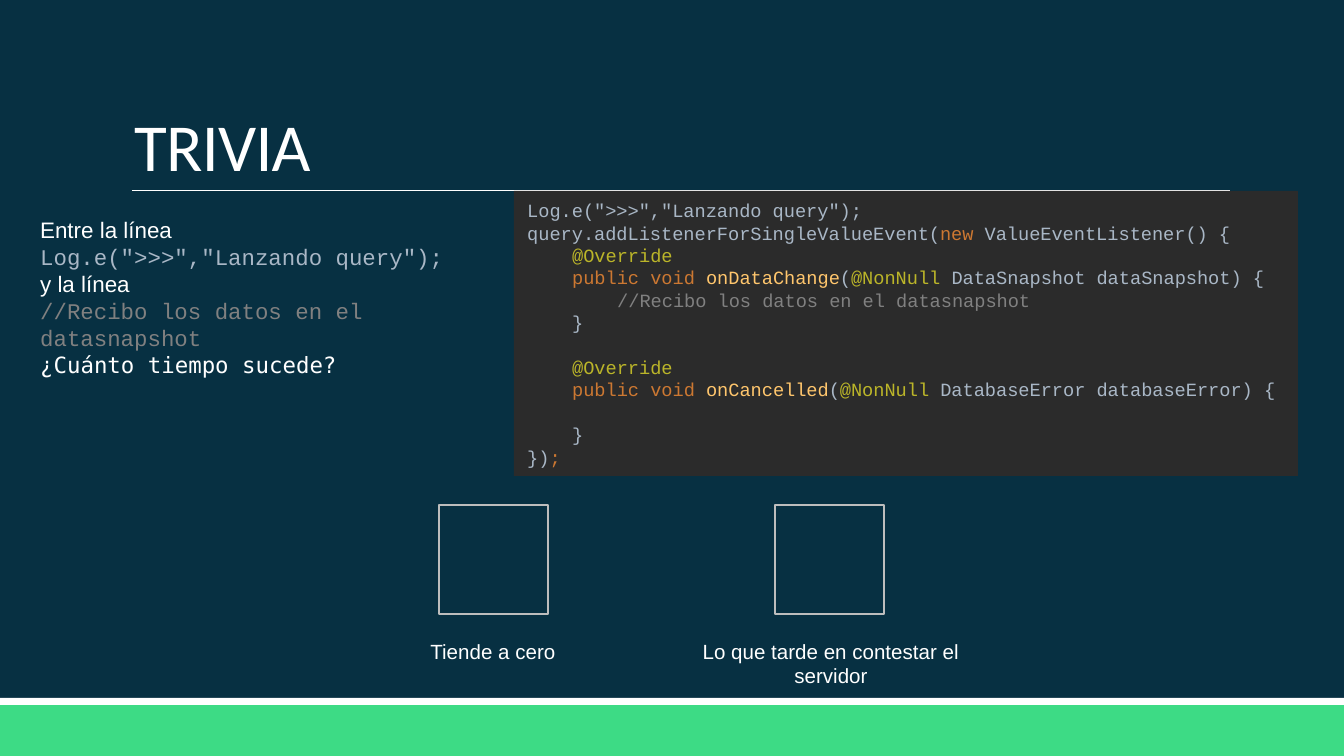
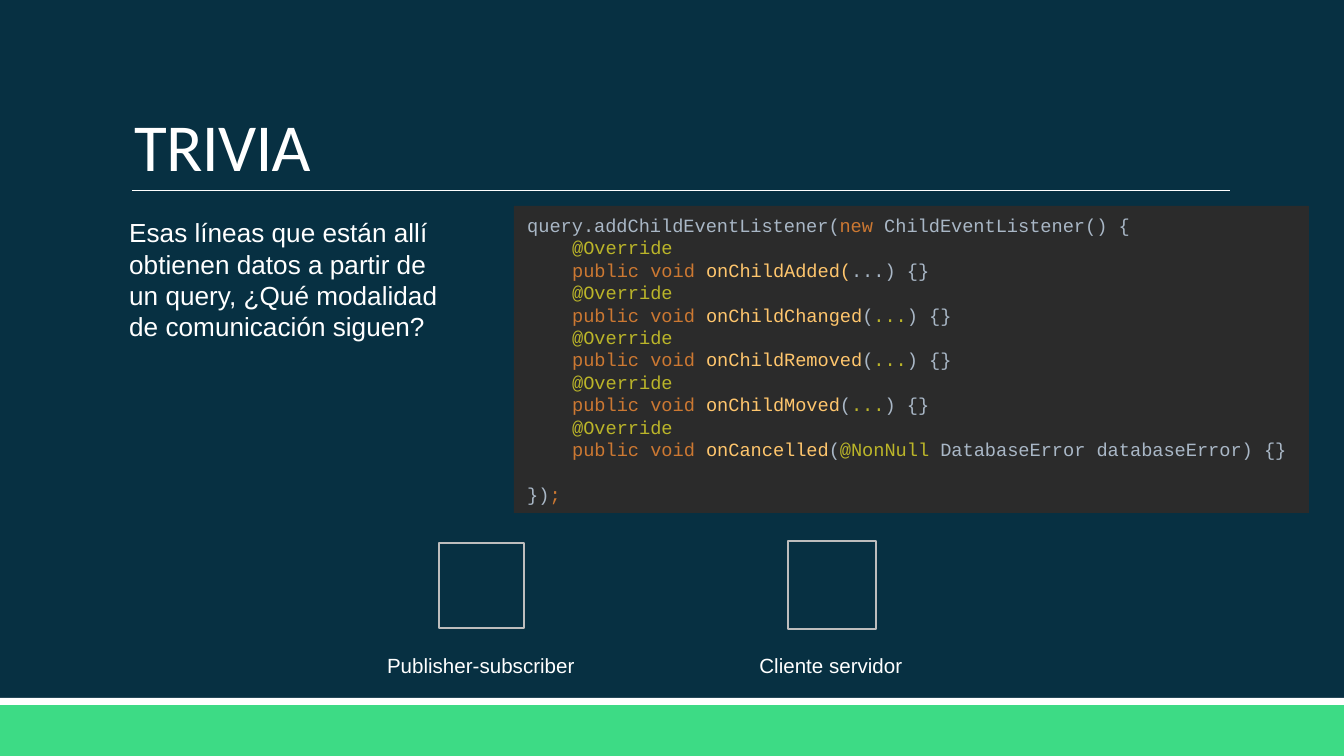
"""Build two trivia slides, each with a question, a code panel and two options."""
from lxml import etree
from pptx import Presentation
from pptx.dml.color import RGBColor
from pptx.enum.shapes import MSO_CONNECTOR, MSO_SHAPE
from pptx.enum.text import MSO_ANCHOR, PP_ALIGN
from pptx.oxml.ns import qn
from pptx.util import Pt

PX = 914400 / 134.4
RECTANGLE = MSO_SHAPE.RECTANGLE
STRAIGHT = MSO_CONNECTOR.STRAIGHT
TOP, MIDDLE, BOTTOM = MSO_ANCHOR.TOP, MSO_ANCHOR.MIDDLE, MSO_ANCHOR.BOTTOM
LEFT, CENTER = PP_ALIGN.LEFT, PP_ALIGN.CENTER

NAVY = RGBColor(0x07, 0x30, 0x42)
GREEN = RGBColor(0x3D, 0xDB, 0x85)
WHITE = RGBColor(0xFF, 0xFF, 0xFF)
SILVER = RGBColor(0xBD, 0xBD, 0xBD)
PANEL = RGBColor(0x2B, 0x2B, 0x2B)
PLAIN = RGBColor(0xA9, 0xB7, 0xC6)
KEYWORD = RGBColor(0xCC, 0x78, 0x32)
ANNOTATION = RGBColor(0xBB, 0xB5, 0x29)
METHOD = RGBColor(0xFF, 0xC6, 0x6D)
COMMENT = RGBColor(0x80, 0x80, 0x80)

SANS, MONO, TITLE_FONT = "Arial", "Courier New", "Calibri"
INDENT = 45
BLANK_LINE = Pt(12)

LOG_LINE = 'Log.e(">>>","Lanzando query");'
COMMENT_LINE = "//Recibo los datos en el datasnapshot"
OVERRIDE = (1, 0, [("@Override", ANNOTATION)])
PUBLIC_VOID = ("public void ", KEYWORD)
NON_NULL = ("@NonNull ", ANNOTATION)
CANCELLED = [PUBLIC_VOID, ("onCancelled", METHOD), ("(", PLAIN), NON_NULL]
END = [("})", PLAIN), (";", KEYWORD)]

single_event_code = [
    (0, 0, [(LOG_LINE, PLAIN)]),
    (0, 0, [("query.addListenerForSingleValueEvent(", PLAIN), ("new ", KEYWORD),
            ("ValueEventListener() {", PLAIN)]),
    OVERRIDE,
    (1, 0, [PUBLIC_VOID, ("onDataChange", METHOD), ("(", PLAIN), NON_NULL,
            ("DataSnapshot dataSnapshot) {", PLAIN)]),
    (2, 0, [(COMMENT_LINE, COMMENT)]),
    (1, 0, [("}", PLAIN)]),
    (1, BLANK_LINE, OVERRIDE[2]),
    (1, 0, CANCELLED + [("DatabaseError databaseError) {", PLAIN)]),
    (1, BLANK_LINE, [("}", PLAIN)]),
    (0, 0, END),
]

child_event_code = [
    (0, 0, [("query.addChildEventListener(", PLAIN), ("new ", KEYWORD),
            ("ChildEventListener() {", PLAIN)]),
    OVERRIDE,
    (1, 0, [PUBLIC_VOID, ("onChildAdded(", METHOD), ("...) {}", PLAIN)]),
]
for method in ("onChildChanged", "onChildRemoved", "onChildMoved"):
    child_event_code += [
        OVERRIDE,
        (1, 0, [PUBLIC_VOID, (method, METHOD), ("(", PLAIN),
                ("...", ANNOTATION), (") {}", PLAIN)]),
    ]
child_event_code += [
    OVERRIDE,
    (1, 0, CANCELLED + [("DatabaseError databaseError) {}", PLAIN)]),
    (0, BLANK_LINE, END),
]

trivia = [
    {
        "question_box": (27, 210, 476, 176),
        "question_size": 12,
        "question": [
            ("Entre la línea", SANS, WHITE),
            (LOG_LINE, MONO, PLAIN),
            ("y la línea", SANS, WHITE),
            (COMMENT_LINE, MONO, COMMENT),
            ("¿Cuánto tiempo sucede?", "DejaVu Sans Mono", WHITE),
        ],
        "code_box": (514, 191, 784, 285),
        "code": single_event_code,
        "options": [
            ("Tiende a cero", (337, 632, 312, 39), (439, 505, 109, 109)),
            ("Lo que tarde en contestar el servidor", (675, 632, 312, 63),
             (775, 505, 109, 109)),
        ],
    },
    {
        "question_box": (116, 210, 339, 140),
        "question_size": 14,
        "question": [
            ("Esas líneas que están allí obtienen datos a partir de un query, "
             "¿Qué modalidad de comunicación siguen?", SANS, WHITE),
        ],
        "code_box": (514, 206, 795, 307),
        "code": child_event_code,
        "options": [
            ("Publisher-subscriber", (325, 646, 312, 39), (439, 543, 85, 85)),
            ("Cliente servidor", (675, 646, 312, 39), (788, 541, 88, 88)),
        ],
    },
]


def add_rectangle(slide, area, fill=None, line=None):
    shape = slide.shapes.add_shape(RECTANGLE, *[round(side * PX) for side in area])
    shape.shadow.inherit = False
    if fill is None:
        shape.fill.background()
    else:
        shape.fill.solid()
        shape.fill.fore_color.rgb = fill
    if line is None:
        shape.line.fill.background()
    else:
        shape.line.color.rgb = line
        shape.line.width = Pt(1.25)
    return shape


def add_text(slide, area, lines, size, align=LEFT, anchor=TOP):
    box = slide.shapes.add_textbox(*[round(side * PX) for side in area])
    box.text_frame.word_wrap = True
    box.text_frame.vertical_anchor = anchor
    box.text_frame.text = "\n".join(text for text, font, color in lines)
    for para, (text, font, color) in zip(box.text_frame.paragraphs, lines):
        para.alignment = align
        para.font.size = Pt(size)
        for span in para.runs:
            span.font.size = Pt(size)
            span.font.name = font
            span.font.color.rgb = color
    return box


deck = Presentation()
deck.slide_width = round(1344 * PX)
deck.slide_height = round(756 * PX)

for page in trivia:
    slide = deck.slides.add_slide(deck.slide_layouts[6])
    slide.background.fill.solid()
    slide.background.fill.fore_color.rgb = NAVY
    add_rectangle(slide, (0, 705, 1344, 51), GREEN)
    add_rectangle(slide, (0, 698, 1344, 7), WHITE)

    rule = slide.shapes.add_connector(
        STRAIGHT, *[round(end * PX) for end in (132, 191, 1230, 191)])
    rule.line.color.rgb = WHITE
    rule.line.width = Pt(0.5)
    etree.SubElement(rule._element.spPr, qn("a:effectLst"))

    title = add_text(slide, (121, 32, 1109, 160), [("TRIVIA", TITLE_FONT, WHITE)],
                     36, anchor=BOTTOM)
    title_para = title.text_frame.paragraphs[0]
    title_para.line_spacing = 0.85
    title_para.runs[0].font._element.set("spc", "-40")

    add_text(slide, page["question_box"], page["question"], page["question_size"])
    for caption, caption_area, square_area in page["options"]:
        add_text(slide, caption_area, [(caption, SANS, WHITE)], 11, CENTER)
        add_rectangle(slide, square_area, line=SILVER)

    panel = add_rectangle(slide, page["code_box"], PANEL)
    frame = panel.text_frame
    frame.word_wrap = True
    frame.vertical_anchor = MIDDLE
    frame.text = "\n" * (len(page["code"]) - 1)
    for para, (level, gap, tokens) in zip(frame.paragraphs, page["code"]):
        para.alignment = LEFT
        para.space_before = gap
        properties = para._p.get_or_add_pPr()
        properties.set("marL", str(round(level * INDENT * PX)))
        properties.set("indent", "0")
        for text, color in tokens:
            span = para.add_run()
            span.text = text
            span.font.size = Pt(10)
            span.font.name = MONO
            span.font.color.rgb = color

deck.save("out.pptx")
